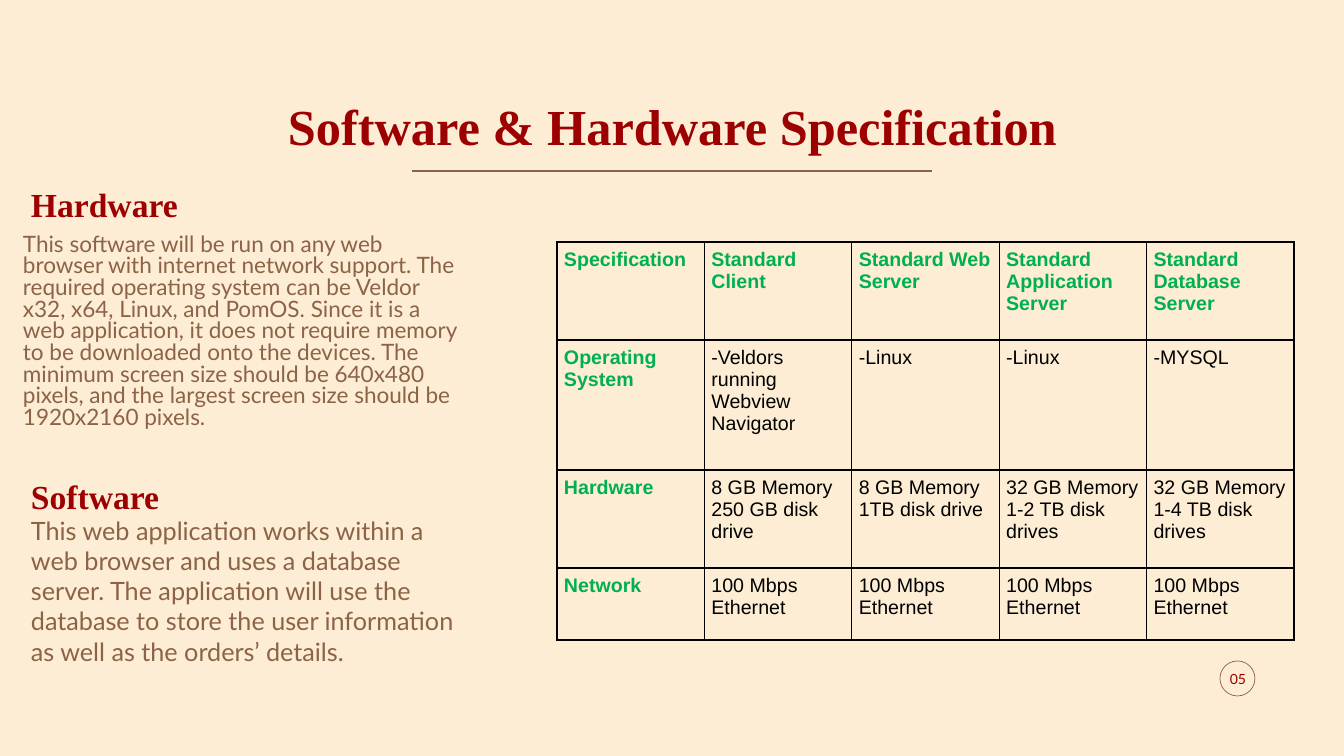
from lxml import etree
from pptx import Presentation
from pptx.dml.color import RGBColor
from pptx.enum.shapes import MSO_CONNECTOR, MSO_SHAPE
from pptx.enum.text import MSO_ANCHOR, PP_ALIGN
from pptx.oxml import parse_xml
from pptx.oxml.ns import nsdecls, qn
from pptx.util import Pt

# Content
TITLE = "Software & Hardware Specification"
HARDWARE_TEXT = (
    "This software will be run on any web browser with internet network support. "
    "The required operating system can be Veldor x32, x64, Linux, and PomOS. "
    "Since it is a web application, it does not require memory to be downloaded "
    "onto the devices. The minimum screen size should be 640x480 pixels, and the "
    "largest screen size should be 1920x2160 pixels."
)
SOFTWARE_TEXT = (
    "This web application works within a web browser and uses a database server. "
    "The application will use the database to store the user information as well "
    "as the orders’ details."
)
PAGE_NUMBER = "05"
TABLE_ROWS = [
    ["Specification", "Standard Client", "Standard Web Server",
     "Standard Application Server", "Standard\nDatabase\nServer"],
    ["Operating System", "-Veldors running Webview Navigator", "-Linux", "-Linux", "-MYSQL"],
    ["Hardware", "8 GB Memory\n250 GB disk drive", "8 GB Memory\n1TB disk drive",
     "32 GB Memory\n1-2 TB disk drives", "32 GB Memory\n1-4 TB disk drives"],
    ["Network"] + ["100 Mbps Ethernet"] * 4,
]
ROW_HEIGHTS = [98, 130, 98, 72]

# Style
CREAM = RGBColor(0xFC, 0xED, 0xD4)
DARK_RED = RGBColor(0x9D, 0x00, 0x00)
BROWN = RGBColor(0x8D, 0x63, 0x47)
GREEN = RGBColor(0x00, 0xB0, 0x50)
BLACK = RGBColor(0x00, 0x00, 0x00)
SERIF, SANS, TABLE_FONT = "Times New Roman", "Lato", "Arial"
TOP, MIDDLE, BOTTOM = MSO_ANCHOR.TOP, MSO_ANCHOR.MIDDLE, MSO_ANCHOR.BOTTOM
LEFT, CENTER = PP_ALIGN.LEFT, PP_ALIGN.CENTER
EMU_PER_PX = 914400 / 100.8


def px(length):
    return round(length * EMU_PER_PX)


def style_font(font, name, size, color, bold=False):
    font.name, font.size, font.bold = name, Pt(size), bold
    font.color.rgb = color


def add_text(slide, box, text, name, size, color, bold=False, align=LEFT,
             anchor=TOP, spacing=1.0, margins=(10, 5)):
    shape = slide.shapes.add_textbox(*map(px, box))
    frame = shape.text_frame
    frame.word_wrap = True
    frame.vertical_anchor = anchor
    frame.margin_left = frame.margin_right = px(margins[0])
    frame.margin_top = frame.margin_bottom = px(margins[1])
    paragraph = frame.paragraphs[0]
    paragraph.text = text
    paragraph.alignment = align
    paragraph.line_spacing = spacing
    style_font(paragraph.font, name, size, color, bold)


def add_borders(cell):
    properties = cell._tc.get_or_add_tcPr()
    for index, side in enumerate(("lnL", "lnR", "lnT", "lnB")):
        properties.insert(index, parse_xml(
            f'<a:{side} {nsdecls("a")} w="{Pt(1)}"><a:solidFill>'
            f'<a:srgbClr val="{BLACK}"/></a:solidFill></a:{side}>'))


def add_specification_table(slide):
    frame = slide.shapes.add_table(len(TABLE_ROWS), len(TABLE_ROWS[0]), px(557), px(242),
                                   px(737), px(sum(ROW_HEIGHTS)))
    table = frame.table
    table.first_row = table.horz_banding = False
    for row, height in zip(table.rows, ROW_HEIGHTS):
        row.height = px(height)
    for row_index, texts in enumerate(TABLE_ROWS):
        for column_index, text in enumerate(texts):
            cell = table.cell(row_index, column_index)
            cell.fill.background()
            add_borders(cell)
            cell.margin_left = cell.margin_right = px(7)
            cell.margin_top = cell.margin_bottom = px(7)
            cell.text = text
            heading = row_index == 0 or column_index == 0
            for paragraph in cell.text_frame.paragraphs:
                style_font(paragraph.font, TABLE_FONT, 14, GREEN if heading else BLACK, heading)


def main():
    presentation = Presentation()
    presentation.slide_width, presentation.slide_height = px(1344), px(756)
    slide = presentation.slides.add_slide(presentation.slide_layouts[6])
    slide.background.fill.solid()
    slide.background.fill.fore_color.rgb = CREAM

    # Page number ring and title rule
    ring = slide.shapes.add_shape(MSO_SHAPE.OVAL, px(1220), px(661), px(35), px(35))
    ring.shadow.inherit = False
    ring.fill.background()
    ring.line.color.rgb = BROWN
    ring.line.width = Pt(0.5)
    rule = slide.shapes.add_connector(MSO_CONNECTOR.STRAIGHT, px(412), px(171), px(932), px(171))
    rule.line.color.rgb = BROWN
    rule.line.width = Pt(1)
    etree.SubElement(rule._element.spPr, qn("a:effectLst"))

    # Title and text sections
    add_text(slide, (93, 84, 1159, 77), TITLE, SERIF, 36, DARK_RED, True,
             CENTER, BOTTOM, spacing=0.9)
    for heading, top in (("Hardware", 176), ("Software", 468)):
        add_text(slide, (21, top, 365, 38), heading, SERIF, 24, DARK_RED, True, margins=(10, 8))
    add_text(slide, (13, 230, 462, 251), HARDWARE_TEXT, SANS, 16.1, BROWN, spacing=0.8)
    add_text(slide, (21, 510, 446, 246), SOFTWARE_TEXT, SANS, 18, BROWN)
    add_text(slide, (1218, 659, 40, 40), PAGE_NUMBER, SANS, 10, DARK_RED,
             align=CENTER, anchor=MIDDLE, margins=(0, 0))

    add_specification_table(slide)
    presentation.save("out.pptx")


if __name__ == "__main__":
    main()
